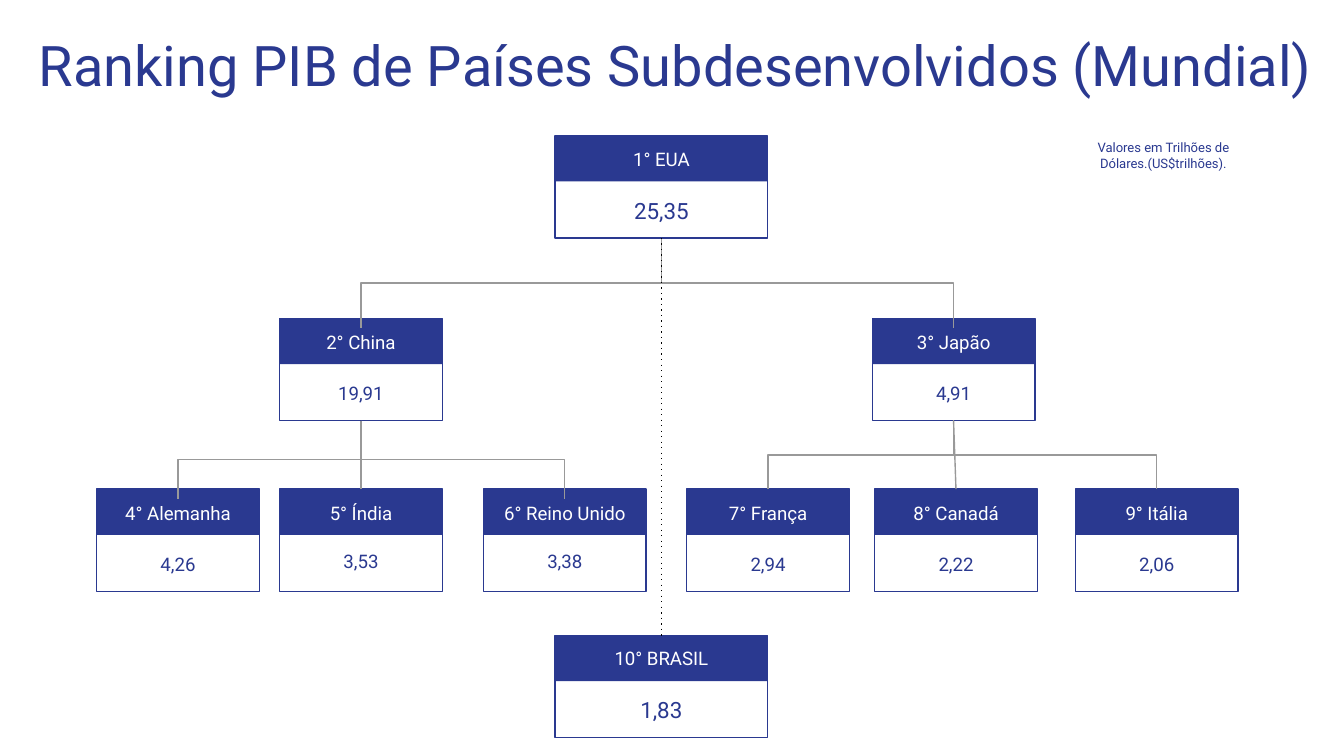
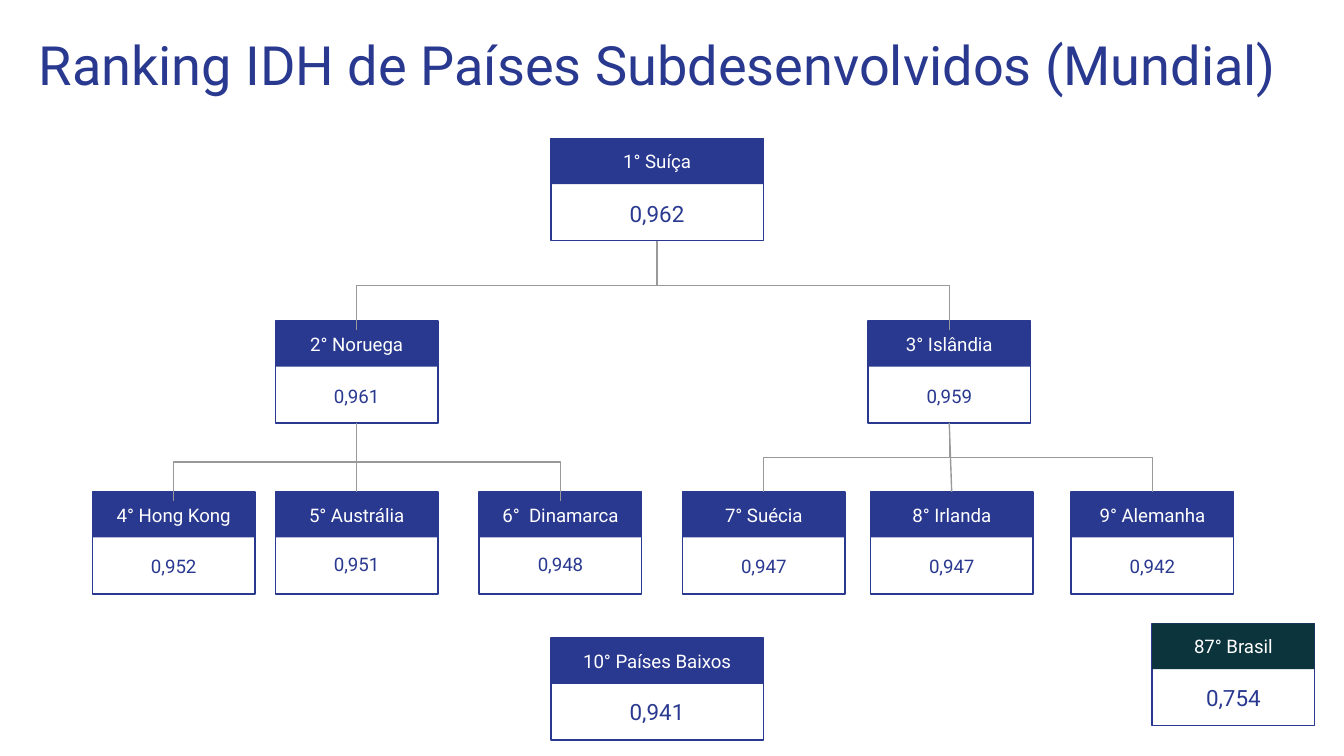
"""Build two slides that rank countries by GDP and by HDI as tree diagrams."""
import lxml.etree
import pptx
import pptx.dml.color
import pptx.enum.dml
import pptx.enum.shapes
import pptx.enum.text
import pptx.oxml.ns
import pptx.util

Pt = pptx.util.Pt
qn = pptx.oxml.ns.qn

NAVY = "2A3990"
TEAL = "0C343D"
WHITE = "FFFFFF"
GREY = "999999"
BLACK = "000000"
FONT = "Roboto"

CARD_HEIGHT = 54.7
HEADER_HEIGHT = 24.5
TEXT_HEIGHT = 15.1
WIDE = 113.8
NARROW = 87.1
INSET = 7.2

ROOT_TOP, BRANCH_TOP, LEAF_TOP, LAST_TOP = 72.8, 170.6, 262.1, 340.5
ROOT_LEFT = 297.4
BRANCH_LEFTS = (149.8, 467.3)
LEAF_LEFTS = (51.8, 149.8, 259, 367.9, 468.6, 576.1)
LEAF_VALUE_DROPS = (32.4, 31, 31, 32.4, 32.4, 32.4)
LEAF_VALUE_INSETS = (0, 0, 0, INSET, INSET, INSET)
LABEL_DROP = 5
VALUE_DROP = 32.4

GDP_RANKING = [
    ("1° EUA", "25,35"), ("2° China", "19,91"), ("3° Japão", "4,91"),
    ("4° Alemanha", "4,26"), ("5° Índia", "3,53"), ("6° Reino Unido", "3,38"),
    ("7° França", "2,94"), ("8° Canadá", "2,22"), ("9° Itália", "2,06"),
    ("10° BRASIL", "1,83"),
]
HDI_RANKING = [
    ("1° Suíça", "0,962"), ("2° Noruega", "0,961"), ("3° Islândia", "0,959"),
    ("4° Hong Kong", "0,952"), ("5° Austrália", "0,951"), ("6°  Dinamarca", "0,948"),
    ("7° Suécia", "0,947"), ("8° Irlanda", "0,947"), ("9° Alemanha", "0,942"),
    ("10° Países Baixos", "0,941"),
]


def rgb(value):
    return pptx.dml.color.RGBColor.from_string(value)


class RankingDeck:
    def __init__(self):
        self.presentation = pptx.Presentation()
        self.presentation.slide_width = Pt(720)
        self.presentation.slide_height = Pt(405)
        self.slide = None

    def new_slide(self, title, title_size):
        self.slide = self.presentation.slides.add_slide(self.presentation.slide_layouts[6])
        self.slide.background.fill.solid()
        self.slide.background.fill.fore_color.rgb = rgb(WHITE)
        self.text(title, 13.7, 9.4, 697.7, 46.1, title_size, centred=False)

    def text(self, wording, left, top, width, height, size, color=NAVY,
             centred=True, middle=False):
        shape = self.slide.shapes.add_textbox(Pt(left), Pt(top), Pt(width), Pt(height))
        frame = shape.text_frame
        frame.word_wrap = True
        frame.margin_left = frame.margin_right = Pt(INSET)
        frame.margin_top = frame.margin_bottom = Pt(INSET)
        anchors = pptx.enum.text.MSO_ANCHOR
        frame.vertical_anchor = anchors.MIDDLE if middle else anchors.TOP
        paragraph = frame.paragraphs[0]
        alignments = pptx.enum.text.PP_ALIGN
        paragraph.alignment = alignments.CENTER if centred else alignments.LEFT
        run = paragraph.add_run()
        run.text = wording
        run.font.name = FONT
        run.font.size = Pt(size)
        run.font.color.rgb = rgb(color)

    def rectangle(self, left, top, width, height, fill=None, line=None):
        shape = self.slide.shapes.add_shape(
            pptx.enum.shapes.MSO_SHAPE.RECTANGLE, Pt(left), Pt(top), Pt(width), Pt(height))
        shape.shadow.inherit = False
        if fill:
            shape.fill.solid()
            shape.fill.fore_color.rgb = rgb(fill)
        else:
            shape.fill.background()
        if line:
            shape.line.color.rgb = rgb(line)
            shape.line.width = Pt(0.75)
        else:
            shape.line.fill.background()

    def card(self, entry, left, top, width, value_size=10, value_drop=VALUE_DROP,
             value_inset=0, fill=NAVY):
        label, value = entry
        self.rectangle(left, top, width, CARD_HEIGHT, line=NAVY)
        self.rectangle(left, top, width, HEADER_HEIGHT, fill=fill)
        if value_size > 10:
            self.text(label, left, top, width, HEADER_HEIGHT, 10, WHITE, middle=True)
        else:
            self.text(label, left, top + LABEL_DROP, width, TEXT_HEIGHT, 10, WHITE, middle=True)
        self.text(value, left + value_inset, top + value_drop, width - 2 * value_inset,
                  TEXT_HEIGHT, value_size, middle=True)

    def connector(self, kind, start, end, color=GREY):
        connector = self.slide.shapes.add_connector(
            kind, Pt(start[0]), Pt(start[1]), Pt(end[0]), Pt(end[1]))
        connector.line.color.rgb = rgb(color)
        connector.line.width = Pt(0.75)
        lxml.etree.SubElement(connector._element.spPr, qn("a:effectLst"))
        return connector

    def straight(self, start, end):
        self.connector(pptx.enum.shapes.MSO_CONNECTOR.STRAIGHT, start, end)

    def dotted(self, start, end):
        connector = self.connector(pptx.enum.shapes.MSO_CONNECTOR.STRAIGHT, start, end, BLACK)
        connector.line.dash_style = pptx.enum.dml.MSO_LINE.ROUND_DOT
        connector._element.spPr.find(".//" + qn("a:prstDash")).set("val", "dot")

    def elbow(self, start, end):
        """Draw a bent line that leaves downwards, as a turned horizontal elbow."""
        middle_x, middle_y = (start[0] + end[0]) / 2, (start[1] + end[1]) / 2
        half_run, half_drop = abs(end[0] - start[0]) / 2, (end[1] - start[1]) / 2
        rightward = end[0] > start[0]
        side = half_drop if rightward else -half_drop
        connector = self.connector(
            pptx.enum.shapes.MSO_CONNECTOR.ELBOW,
            (middle_x + side, middle_y - half_run), (middle_x - side, middle_y + half_run))
        degrees = 270 if rightward else 90
        connector._element.spPr.find(qn("a:xfrm")).set("rot", str(degrees * 60000))

    def tree(self, ranking, shift_x=0, shift_y=0):
        root_left = ROOT_LEFT + shift_x
        root_top, branch_top, leaf_top, last_top = (
            top + shift_y for top in (ROOT_TOP, BRANCH_TOP, LEAF_TOP, LAST_TOP))
        branches = [left + shift_x for left in BRANCH_LEFTS]
        leaves = [left + shift_x for left in LEAF_LEFTS]

        self.card(ranking[0], root_left, root_top, WIDE, 12)
        for entry, left in zip(ranking[1:3], branches):
            self.card(entry, left, branch_top, NARROW)
        for entry, left, drop, inset in zip(
                ranking[3:9], leaves, LEAF_VALUE_DROPS, LEAF_VALUE_INSETS):
            self.card(entry, left, leaf_top, NARROW, value_drop=drop, value_inset=inset)
        self.card(ranking[9], root_left, last_top, WIDE, 12, value_drop=31.9)

        root_foot = (root_left + WIDE / 2, root_top + CARD_HEIGHT)
        for index, left in enumerate(branches):
            centre = left + NARROW / 2
            self.elbow(root_foot, (centre, branch_top + LABEL_DROP))
            foot = (centre, branch_top + CARD_HEIGHT)
            first, second, third = (x + NARROW / 2 for x in leaves[3 * index:3 * index + 3])
            leaf_end = leaf_top + (LABEL_DROP if index == 0 else 0)
            self.elbow(foot, (first, leaf_end))
            self.elbow(foot, (third, leaf_end))
            self.straight(foot, (second, leaf_top))
        return root_foot, (root_foot[0], last_top)


def main():
    deck = RankingDeck()

    deck.new_slide("Ranking PIB de Países Subdesenvolvidos (Mundial)", 30)
    deck.text("Valores em Trilhões de Dólares.(US$trilhões).", 571, 67.7, 104.4, 31.7, 7)
    root_foot, last_head = deck.tree(GDP_RANKING)
    deck.dotted(root_foot, last_head)

    deck.new_slide("Ranking IDH de Países Subdesenvolvidos (Mundial)", 29)
    deck.tree(HDI_RANKING, -2.3, 1.4)
    deck.card(("87° Brasil", "0,754"), 617.2, 334, NARROW, 12, value_drop=31.9, fill=TEAL)

    deck.presentation.save("out.pptx")


if __name__ == "__main__":
    main()
